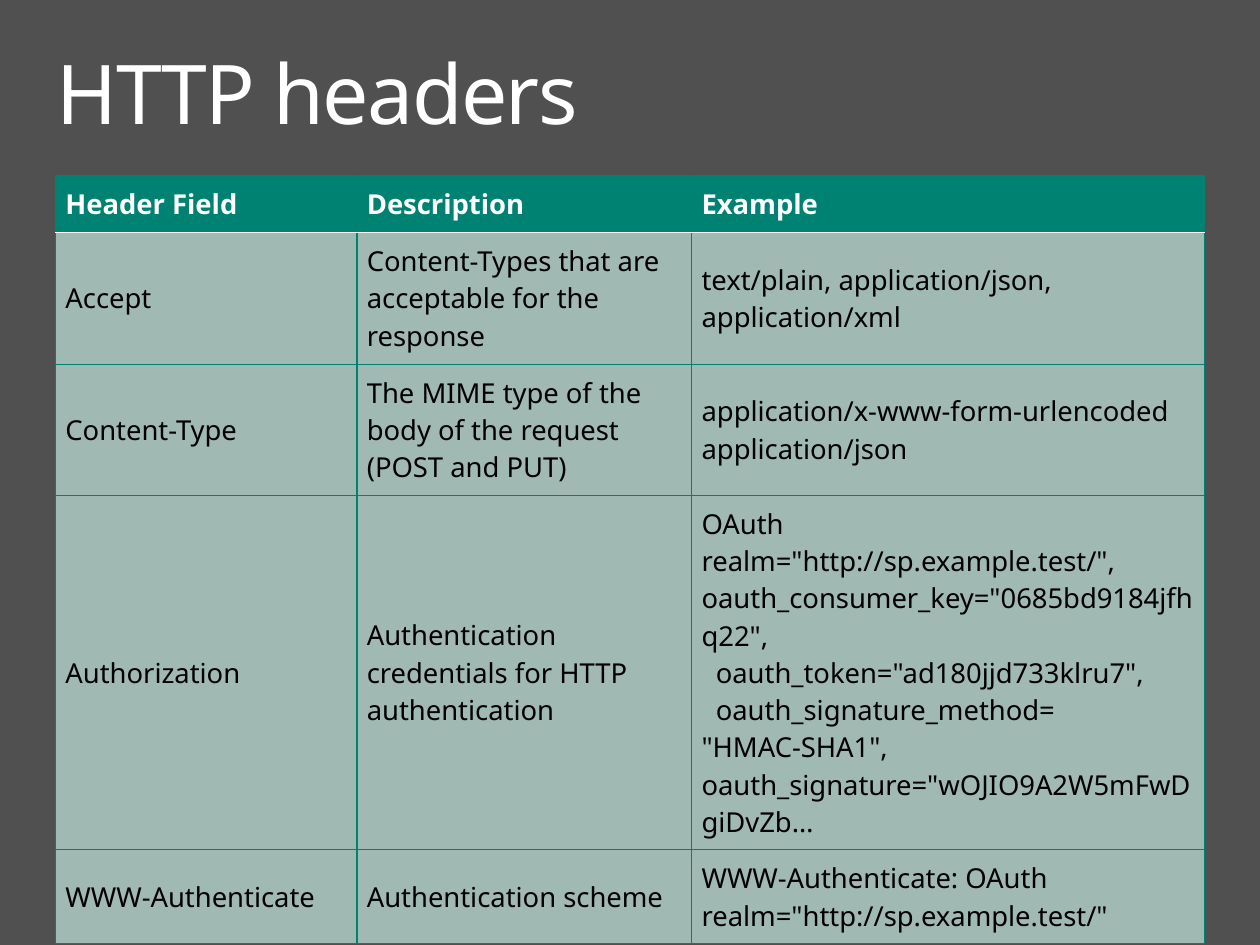
from copy import deepcopy

from pptx import Presentation
from pptx.dml.color import RGBColor
from pptx.enum.text import MSO_ANCHOR
from pptx.oxml import parse_xml
from pptx.oxml.ns import nsdecls, qn
from pptx.util import Inches, Pt

COLORS = {"background": "505050", "teal": "008272", "body": "A1B9B3",
          "white": "FFFFFF", "black": "000000"}
COLUMN_WIDTHS = [2.44, 2.71, 4.15]
ROW_HEIGHTS = [0.46, 1.07, 1.06, 2.87, 0.76]
HEADERS = [
    ("Header Field", "Description", "Example"),
    ("Accept", "Content-Types that are acceptable for the response",
     "text/plain, application/json, application/xml"),
    ("Content-Type", "The MIME type of the body of the request (POST and PUT)",
     "application/x-www-form-urlencoded\napplication/json"),
    ("Authorization", "Authentication credentials for HTTP authentication",
     'OAuth realm="http://sp.example.test/",\v'
     'oauth_consumer_key="0685bd9184jfhq22",\v'
     '\u00a0\u00a0oauth_token="ad180jjd733klru7",\v'
     '\u00a0\u00a0oauth_signature_method=\v'
     '"HMAC-SHA1",\v'
     'oauth_signature="wOJIO9A2W5mFwDgiDvZb…'),
    ("WWW-Authenticate", "Authentication scheme",
     'WWW-Authenticate: OAuth realm="http://sp.example.test/"'),
]


def rgb(name):
    return RGBColor.from_string(COLORS[name])


def write(tf, text, size=16, color="black", bold=False, font="Noto Sans",
          line_spacing=None, tracking=None):
    tf.word_wrap = True
    tf.text = text
    for p in tf.paragraphs:
        p.line_spacing = line_spacing
        for r in p.runs:
            r.font.name, r.font.size, r.font.bold = font, Pt(size), bold
            r.font.color.rgb = rgb(color)
            if tracking is not None:
                r.font._element.set("spc", str(int(tracking * 100)))
        for br in p._p.findall(qn("a:br")):
            br.append(deepcopy(p.runs[0].font._element))


class Deck:
    """Holds the presentation style and the current slide."""

    def __init__(self, width, height):
        self.prs = Presentation()
        self.prs.slide_width, self.prs.slide_height = Inches(width), Inches(height)

    def slide(self, background):
        self.s = self.prs.slides.add_slide(self.prs.slide_layouts[6])
        fill = self.s.background.fill
        fill.solid()
        fill.fore_color.rgb = rgb(background)

    def title(self, text, *box):
        tf = self.s.shapes.add_textbox(*map(Inches, box)).text_frame
        tf.margin_left = tf.margin_right = Inches(0.16)
        tf.margin_top = tf.margin_bottom = Inches(0.1)
        write(tf, text, size=48, color="white", line_spacing=0.9, tracking=-1)

    def border(self, cell, side, color, width=0.75):
        cell._tc.get_or_add_tcPr().append(parse_xml(
            f'<a:ln{side} {nsdecls("a")} w="{Pt(width)}"><a:solidFill>'
            f'<a:srgbClr val="{COLORS[color]}"/></a:solidFill></a:ln{side}>'))

    def cell(self, cell, text, row):
        header = row == 0
        cell.vertical_anchor = MSO_ANCHOR.MIDDLE
        cell.margin_left = cell.margin_right = Inches(0.08)
        cell.margin_top = cell.margin_bottom = Inches(0.08)
        write(cell.text_frame, text, color="white" if header else "black", bold=header)
        for side in "LRTB":
            under_header = (row, side) in [(0, "B"), (1, "T")]
            self.border(cell, side, "white" if under_header else "teal")
        cell.fill.solid()
        cell.fill.fore_color.rgb = rgb("teal" if header else "body")

    def table(self, rows, left, top, widths, heights):
        table = self.s.shapes.add_table(
            len(rows), len(widths), Inches(left), Inches(top),
            Inches(sum(widths)), Inches(sum(heights))).table
        for column, width in zip(table.columns, widths):
            column.width = Inches(width)
        for i, (texts, height) in enumerate(zip(rows, heights)):
            table.rows[i].height = Inches(height)
            for j, text in enumerate(texts):
                self.cell(table.cell(i, j), text, i)


deck = Deck(10.2, 7.65)
deck.slide("background")
deck.title("HTTP headers", 0.3, 0.33, 9.6, 1)
deck.table(HEADERS, 0.45, 1.42, COLUMN_WIDTHS, ROW_HEIGHTS)
deck.prs.save("out.pptx")
